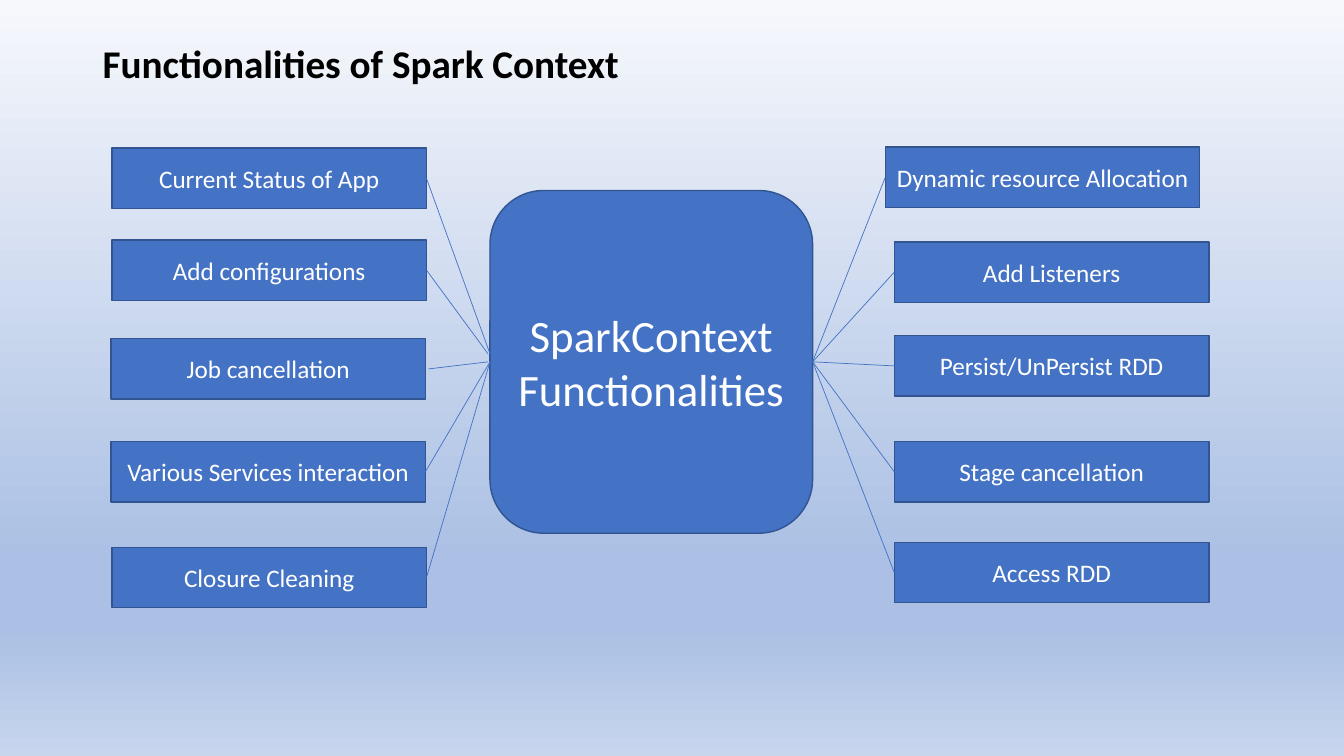
"""Build a slide that maps the functionalities of SparkContext."""
from lxml import etree
from pptx import Presentation
from pptx.dml.color import RGBColor
from pptx.enum.shapes import MSO_CONNECTOR, MSO_SHAPE
from pptx.enum.text import MSO_ANCHOR, PP_ALIGN
from pptx.oxml.ns import qn
from pptx.util import Pt

PX = 9144
RECTANGLE, ROUNDED = MSO_SHAPE.RECTANGLE, MSO_SHAPE.ROUNDED_RECTANGLE
STRAIGHT = MSO_CONNECTOR.STRAIGHT
MIDDLE, CENTER, LEFT = MSO_ANCHOR.MIDDLE, PP_ALIGN.CENTER, PP_ALIGN.LEFT
BLUE, EDGE, WHITE, BLACK = "4472C4", "325491", "FFFFFF", "000000"
BACKGROUND = [(0, "F6F8FC"), (74, "ABC0E4"), (83, "ABC0E4"), (100, "C7D5ED")]
BOX_WIDTH, BOX_HEIGHT = 312, 60
HUB_LEFT, HUB_TOP, HUB_WIDTH, HUB_HEIGHT = 486, 189, 320, 340
HUB_RIGHT, HUB_MIDDLE = HUB_LEFT + HUB_WIDTH, HUB_TOP + HUB_HEIGHT // 2

LEFT_BOXES = [
    ("Current Status of App", 111, 147, 486, 351, 423),
    ("Add configurations", 111, 238, 484, 351, 423),
    ("Job cancellation", 110, 336, 484, HUB_MIDDLE, 425),
    ("Various Services interaction", 110, 438, 486, HUB_MIDDLE, 422),
    ("Closure Cleaning", 111, 543, 486, HUB_MIDDLE, 423),
]
RIGHT_BOXES = [
    ("Dynamic resource Allocation", 878, 146),
    ("Add Listeners", 887, 240),
    ("Persist/UnPersist RDD", 887, 333),
    ("Stage cancellation", 887, 438),
    ("Access RDD", 887, 538),
]


def color(value):
    return RGBColor.from_string(value)


def write(box, text, align, **font):
    frame = box.text_frame
    frame.word_wrap = True
    frame.vertical_anchor = MIDDLE
    para = frame.paragraphs[0]
    para.alignment = align
    span = para.add_run()
    span.text = text
    span.font.color.rgb = color(font.pop("ink"))
    for name, value in {"name": "Calibri", **font}.items():
        setattr(span.font, name, value)


deck = Presentation()
deck.slide_width, deck.slide_height = 1333 * PX, 750 * PX
page = deck.slides.add_slide(deck.slide_layouts[6])

fill = page.background.fill
fill.gradient()
fill.gradient_angle = 270
stops = page.element.find(".//" + qn("a:gsLst"))
for stop in list(stops):
    stops.remove(stop)
for percent, shade in BACKGROUND:
    stop = etree.SubElement(stops, qn("a:gs"), pos=str(percent * 1000))
    etree.SubElement(stop, qn("a:srgbClr"), val=shade)

title = page.shapes.add_textbox(92 * PX, 40 * PX, 1150 * PX, 50 * PX)
write(title, "Functionalities of Spark Context", LEFT, size=Pt(28), bold=True, ink=BLACK)
title.text_frame.paragraphs[0].line_spacing = 0.9

boxes = [("SparkContext Functionalities", ROUNDED, HUB_LEFT, HUB_TOP, HUB_WIDTH, HUB_HEIGHT, 32)]
links = []
for label, left, top, start_x, start_y, end_x in LEFT_BOXES:
    boxes.append((label, RECTANGLE, left, top, BOX_WIDTH, BOX_HEIGHT, 18))
    links.append((start_x, start_y, end_x, top + BOX_HEIGHT // 2))
for label, left, top in RIGHT_BOXES:
    boxes.append((label, RECTANGLE, left, top, BOX_WIDTH, BOX_HEIGHT, 18))
    links.append((HUB_RIGHT, HUB_MIDDLE, left, top + BOX_HEIGHT // 2))

for label, kind, left, top, width, height, size in boxes:
    box = page.shapes.add_shape(kind, left * PX, top * PX, width * PX, height * PX)
    box.shadow.inherit = False
    box.fill.solid()
    box.fill.fore_color.rgb = color(BLUE)
    box.line.color.rgb = color(EDGE)
    box.line.width = Pt(1)
    write(box, label, CENTER, size=Pt(size), ink=WHITE)

for ends in links:
    link = page.shapes.add_connector(STRAIGHT, *(value * PX for value in ends))
    link.line.color.rgb = color(BLUE)
    link.line.width = Pt(0.5)
    etree.SubElement(link.element.spPr, qn("a:effectLst"))

deck.save("out.pptx")
